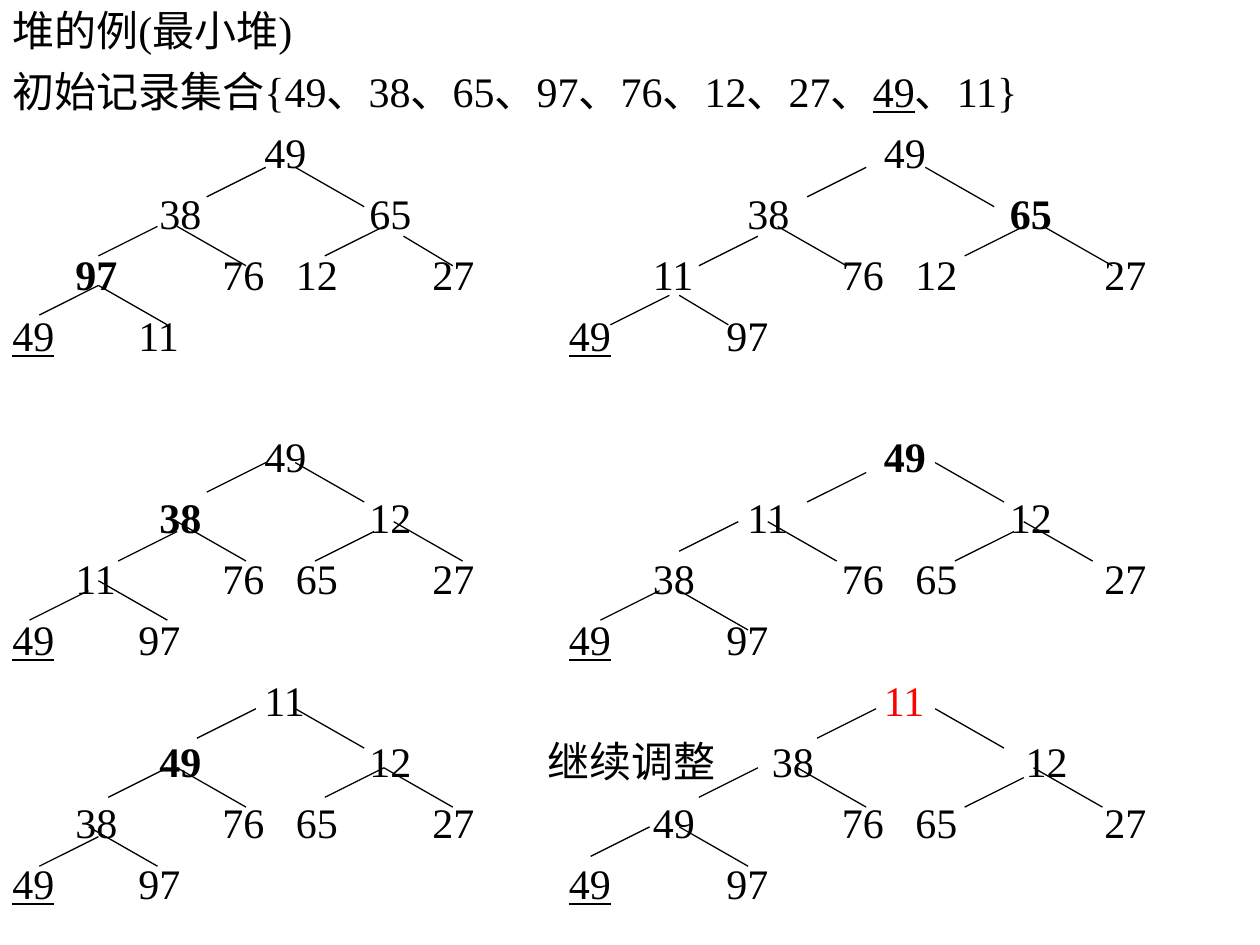
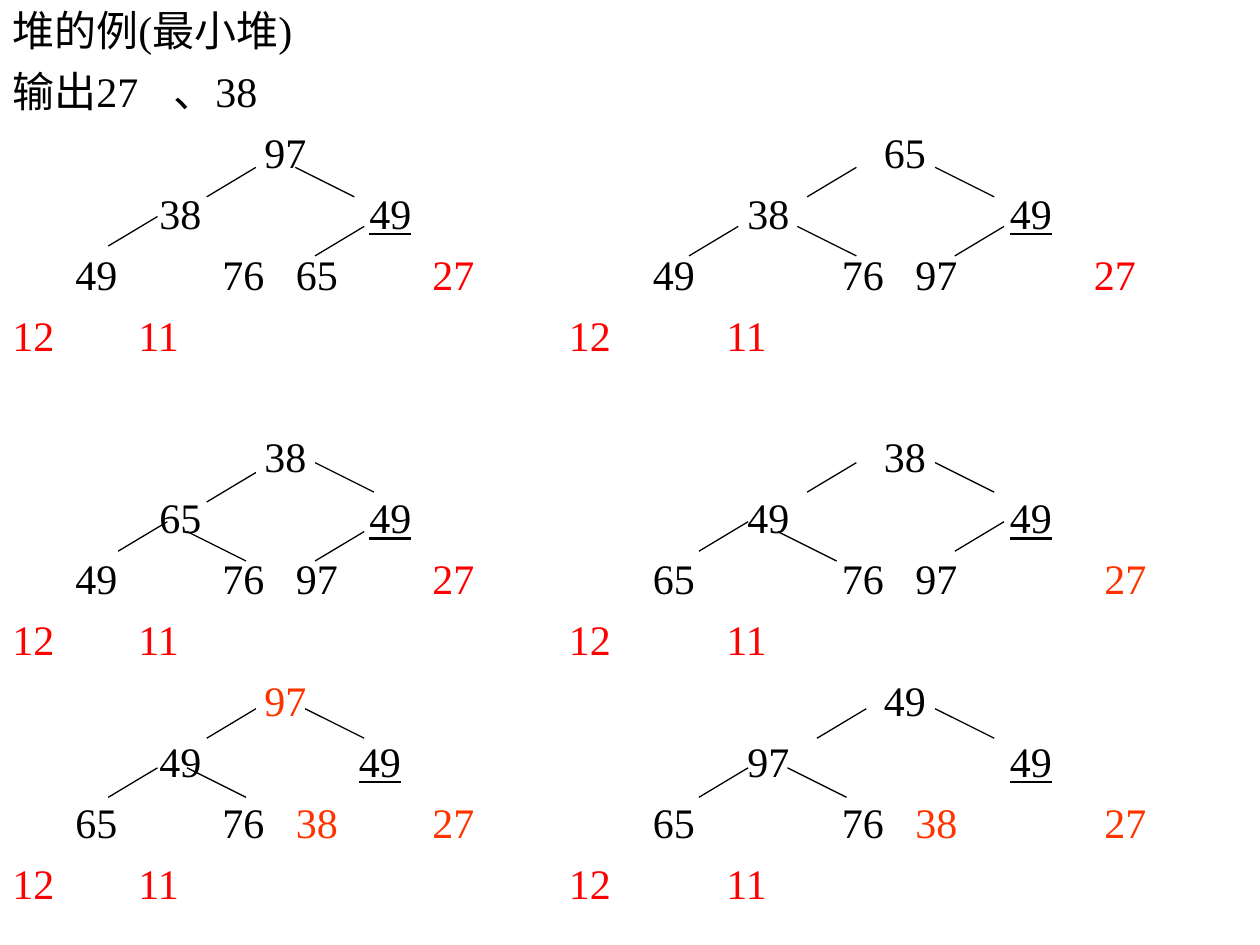
from lxml import etree
from pptx import Presentation
from pptx.dml.color import RGBColor
from pptx.enum.shapes import MSO_CONNECTOR
from pptx.enum.text import MSO_ANCHOR
from pptx.oxml.ns import qn
from pptx.util import Pt

STRAIGHT = MSO_CONNECTOR.STRAIGHT
TOP, MIDDLE = MSO_ANCHOR.TOP, MSO_ANCHOR.MIDDLE

BLACK, RED, ORANGE = "000000", "FF0000", "FF3300"
TITLE = "堆的例(最小堆)"
GRID = 720 / 128  # tree edges start and end on this grid, in points

# Left edge of each heap position, for the left and the right tree of a band
COLUMNS = (
    (144, 84, 204, 36, 120, 162, 240, 0, 72),
    (498, 420, 570, 366, 474, 516, 624, 318, 408),
)
LEVELS = (range(0, 1), range(1, 3), range(3, 7), range(7, 9))

# A mark after a key gives its format; "@x" moves it off its column
MARKS = {
    "_": {"underline": True},
    "*": {"bold": True},
    "!": {"color": RED},
    "~": {"color": ORANGE},
}


def rgb(color):
    return RGBColor.from_string(color)


def add_run(paragraph, text, size=24, color=BLACK, bold=False, underline=False):
    run = paragraph.add_run()
    run.text = text
    font = run.font
    font.name, font.size = "Times New Roman", Pt(size)
    font.bold, font.underline = bold, underline
    font.color.rgb = rgb(color)


def parse_key(token, column):
    """Return the place, text and format of one heap key."""
    token, _, moved = token.partition("@")
    text = token.rstrip("".join(MARKS))
    return float(moved or column), text, MARKS.get(token[len(text):], {})


class HeapDeck:
    line_height = 28.8
    paragraph_gap = 6

    def __init__(self):
        self.presentation = Presentation()
        self.presentation.slide_width = Pt(720)
        self.presentation.slide_height = Pt(540)
        self.slide = None

    def add_slide(self):
        layout = self.presentation.slide_layouts[6]
        self.slide = self.presentation.slides.add_slide(layout)
        self.slide.background.fill.solid()
        self.slide.background.fill.fore_color.rgb = rgb("FFFFFF")

    def text_box(self, left, top, width, height, anchor=TOP):
        box = self.slide.shapes.add_textbox(Pt(left), Pt(top), Pt(width), Pt(height))
        frame = box.text_frame
        frame.word_wrap = True
        frame.vertical_anchor = anchor
        return frame

    def paragraph(self, frame, pieces, gap=0):
        """Write (place, text, format) pieces, each at its own tab stop."""
        first = frame.paragraphs[0]
        paragraph = frame.add_paragraph() if first.runs else first
        paragraph.line_spacing = Pt(self.line_height)
        paragraph.space_before = Pt(gap)
        stops = [place for place, _, _ in pieces if place]
        if stops:
            properties = paragraph._p.get_or_add_pPr()
            tab_list = etree.SubElement(properties, qn("a:tabLst"))
            for place in stops:
                etree.SubElement(tab_list, qn("a:tab"), pos=str(int(Pt(place))), algn="l")
        for place, text, style in pieces:
            if place:
                add_run(paragraph, "\t")
            add_run(paragraph, text, **style)

    def title(self, text):
        frame = self.text_box(0, 0, 612, 33.84, MIDDLE)
        self.paragraph(frame, [(0, text, {})])

    def tree_pair(self, frame, trees, caption, row_skipped):
        keys = [tree.split() for tree in trees]
        for depth, level in enumerate(LEVELS):
            pieces = [
                parse_key(tree[index], columns[index])
                for tree, columns in zip(keys, COLUMNS)
                for index in level
            ]
            if caption and depth == 1:
                pieces.append(caption)
            gap = self.paragraph_gap
            if row_skipped and depth == 0:
                gap += self.line_height + self.paragraph_gap
            self.paragraph(frame, sorted(pieces, key=lambda piece: piece[0]), gap)

    def edges(self, starts, step):
        for x, y in starts:
            ends = (x, y, x + step[0], y + step[1])
            connector = self.slide.shapes.add_connector(
                STRAIGHT, *(Pt(value * GRID) for value in ends))
            connector.line.color.rgb = rgb(BLACK)
            connector.line.width = Pt(0.75)
            etree.SubElement(connector._element.spPr, qn("a:effectLst"))

    def heap_slide(self, intro, bands, edge_groups, captions=(None, None, None)):
        self.add_slide()
        self.title(TITLE)
        frame = self.text_box(0, 33.84, 697.68, 506.16)
        self.paragraph(frame, intro, self.paragraph_gap)
        for number, (trees, caption) in enumerate(zip(bands, captions)):
            self.tree_pair(frame, trees, caption, row_skipped=number == 1)
        for step, starts in edge_groups.items():
            self.edges(starts, step)


# Building the heap
BUILD_INTRO = [
    (0, "初始记录集合{49、38、65、97、76、12、27、", {}),
    (0, "49", {"underline": True}),
    (0, "、11}", {}),
]
BUILD_BANDS = [
    ("49 38 65 97* 76 12 27 49_ 11", "49 38 65* 11 76 12 27 49_ 97"),
    ("49 38* 12 11 76 65 27 49_ 97", "49* 11 12 38 76 65 27 49_ 97"),
    ("11 49* 12 38 76 65 27 49_ 97", "11! 38@434 12@579 49 76 65 27 49_ 97"),
]
BUILD_CAPTIONS = (None, None, (306, "继续调整", {}))
BUILD_EDGES = {
    (-6, 3): [
        (27, 17), (16, 23), (10, 29), (39, 23),
        (88, 17), (77, 24), (68, 30), (104, 23),
        (27, 47), (18, 54), (9, 60), (38, 54),
        (88, 48), (75, 53), (67, 60), (103, 54),
        (26, 72), (17, 78), (10, 85), (39, 78),
        (89, 72), (77, 78), (66, 84), (104, 79),
    ],
    (7, 4): [
        (30, 17), (18, 23), (10, 29),
        (94, 17), (79, 23), (106, 23),
        (30, 47), (18, 53), (10, 59), (40, 53),
        (95, 47), (78, 53), (69, 60), (104, 53),
        (30, 72), (18, 78), (9, 84), (39, 78),
        (95, 72), (81, 78), (69, 84), (105, 78),
    ],
    (5, 3): [(41, 24), (69, 30)],
}

# Removing the smallest keys
OUTPUT_INTRO = [(0, "输出27", {}), (92, "、38", {})]
OUTPUT_BANDS = [
    ("97 38 49_ 49 76 65 27! 12! 11!", "65 38 49_ 49 76 97 27!@618 12! 11!"),
    ("38 65 49_ 49 76 97 27! 12! 11!", "38 49 49_ 65 76 97 27~ 12! 11!"),
    ("97~ 49 49_@198 65 76 38~ 27~ 12! 11!", "49 97 49_ 65 76 38~ 27~ 12! 11!"),
]
OUTPUT_EDGES = {
    (-5, 3): [
        (26, 17), (16, 22), (37, 23), (87, 17), (75, 23), (102, 23),
        (26, 48), (17, 53), (37, 54), (87, 47), (76, 53), (102, 53),
        (26, 72), (16, 78), (88, 72), (76, 78),
    ],
    (6, 3): [
        (30, 17), (95, 17), (81, 23),
        (32, 47), (19, 54), (95, 47), (79, 54),
        (31, 72), (19, 78), (95, 72), (80, 78),
    ],
}


def main():
    deck = HeapDeck()
    deck.heap_slide(BUILD_INTRO, BUILD_BANDS, BUILD_EDGES, BUILD_CAPTIONS)
    deck.heap_slide(OUTPUT_INTRO, OUTPUT_BANDS, OUTPUT_EDGES)
    deck.presentation.save("out.pptx")


if __name__ == "__main__":
    main()
